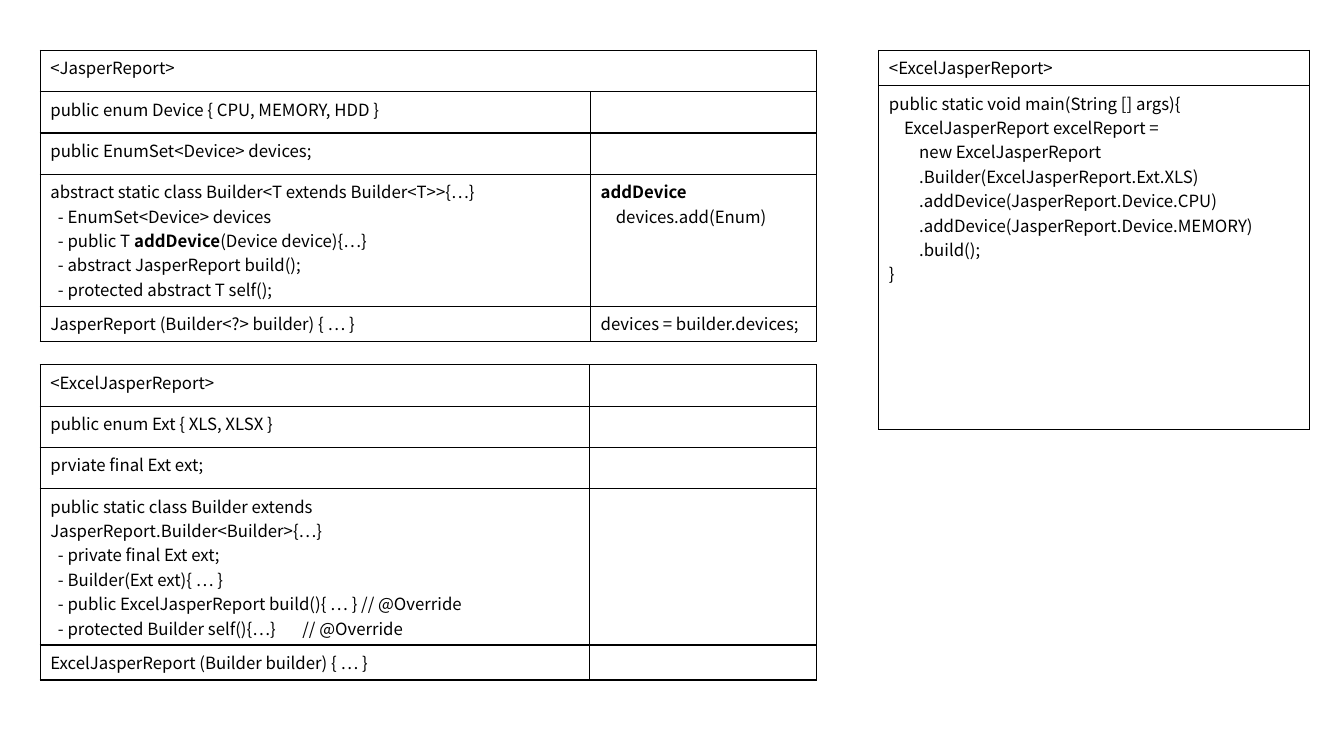
from dataclasses import dataclass

from lxml import etree
from pptx import Presentation
from pptx import util as u
from pptx.dml.color import RGBColor
from pptx.oxml import ns

BLACK = RGBColor(0x00, 0x00, 0x00)
FONT = "Noto Sans CJK KR"
TEXT_SIZE = u.Pt(12)
BORDER_WIDTH = u.Pt(1)
INDENT_STEP = u.Pt(2.7)
COMMENT_TAB = u.Pt(201)
LEFT_EDGE = u.Pt(28.8)
TOP_EDGE = u.Pt(36)
HEADER = u.Pt(29.5)
COMPACT = u.Pt(25)


@dataclass(frozen=True)
class Fragment:
    text: str
    bold: bool = False


@dataclass(frozen=True)
class Line:
    fragments: tuple[Fragment, ...]
    indent: int = 0


@dataclass(frozen=True)
class ClassTable:
    left: int
    top: int
    columns: tuple[int, ...]
    row_heights: tuple[int, ...]
    rows: tuple[tuple[list[Line], ...], ...]
    merge_title: bool = False


def line(text: str, indent: int = 0) -> Line:
    return Line((Fragment(text),), indent)


def members(*texts: str) -> list[Line]:
    return [line(f"- {text}", 2) for text in texts]


JASPER_REPORT = ClassTable(
    LEFT_EDGE, TOP_EDGE, (u.Pt(393.1), u.Pt(161.3)),
    (HEADER, HEADER, HEADER, u.Pt(94), COMPACT),
    (
        ([line("<JasperReport>")], []),
        ([line("public enum Device { CPU, MEMORY, HDD }")], []),
        ([line("public EnumSet<Device> devices;")], []),
        (
            [
                line("abstract static class Builder<T extends Builder<T>>{…}"),
                *members("EnumSet<Device> devices"),
                Line((Fragment("- public T "), Fragment("addDevice", True),
                      Fragment("(Device device){…}")), 2),
                *members("abstract JasperReport build();",
                         "protected abstract T self();"),
            ],
            [Line((Fragment("addDevice", True),)), line("devices.add(Enum)", 4)],
        ),
        ([line("JasperReport (Builder<?> builder) { … }")],
         [line("devices = builder.devices;")]),
    ),
    merge_title=True,
)

EXCEL_REPORT = ClassTable(
    LEFT_EDGE, u.Pt(260.6), (u.Pt(392.4), u.Pt(162)),
    (HEADER, HEADER, HEADER, u.Pt(111.6), COMPACT),
    (
        ([line("<ExcelJasperReport>")], []),
        ([line("public enum Ext { XLS, XLSX }")], []),
        ([line("prviate final Ext ext;")], []),
        (
            [
                line("public static class Builder extends JasperReport.Builder<Builder>{…}"),
                *members("private final Ext ext;",
                         "Builder(Ext ext){ … }",
                         "public ExcelJasperReport build(){ … } // @Override",
                         "protected Builder self(){…}\t// @Override"),
            ],
            [],
        ),
        ([line("ExcelJasperReport (Builder builder) { … }")], []),
    ),
)

MAIN_METHOD = ClassTable(
    u.Pt(627.8), TOP_EDGE, (u.Pt(307.4),), (u.Pt(25.2), u.Pt(245.5)),
    (
        ([line("<ExcelJasperReport>")],),
        (
            [
                line("public static void main(String [] args){"),
                line("ExcelJasperReport excelReport =", 4),
                line("new ExcelJasperReport", 8),
                line(".Builder(ExcelJasperReport.Ext.XLS)", 8),
                line(".addDevice(JasperReport.Device.CPU)", 8),
                line(".addDevice(JasperReport.Device.MEMORY)", 8),
                line(".build();", 8),
                line("}"),
            ],
        ),
    ),
)


def add_child(parent, tag: str, **attributes):
    values = {name: str(value) for name, value in attributes.items()}
    return etree.SubElement(parent, ns.qn(tag), values)


def style_cell(cell) -> None:
    properties = cell._tc.get_or_add_tcPr()
    for side in ("a:lnL", "a:lnR", "a:lnT", "a:lnB"):
        border = add_child(properties, side, w=int(BORDER_WIDTH))
        add_child(add_child(border, "a:solidFill"), "a:srgbClr", val=BLACK)
    cell.fill.background()


def write_line(paragraph, content: Line) -> None:
    properties = paragraph._p.get_or_add_pPr()
    properties.set("marL", "0")
    properties.set("indent", str(int(INDENT_STEP * content.indent)))
    if any("\t" in fragment.text for fragment in content.fragments):
        tabs = add_child(properties, "a:tabLst")
        add_child(tabs, "a:tab", pos=int(COMMENT_TAB), algn="l")
    for fragment in content.fragments:
        run = paragraph.add_run()
        run.text = fragment.text
        run.font.name = FONT
        run.font.size = TEXT_SIZE
        run.font.bold = fragment.bold
        run.font.color.rgb = BLACK
        add_child(run.font._element, "a:ea", typeface=FONT)


def fill_cell(cell, lines: list[Line]) -> None:
    style_cell(cell)
    frame = cell.text_frame
    if not lines:
        add_child(frame.paragraphs[0]._p, "a:endParaRPr", sz=int(TEXT_SIZE.pt * 100))
    for index, content in enumerate(lines):
        paragraph = frame.add_paragraph() if index else frame.paragraphs[0]
        write_line(paragraph, content)


def draw_table(slide, content: ClassTable) -> None:
    shape = slide.shapes.add_table(
        len(content.rows), len(content.columns), content.left, content.top,
        sum(content.columns), sum(content.row_heights))
    table = shape.table
    table.first_row = False
    table.horz_banding = False
    for column, width in zip(table.columns, content.columns):
        column.width = width
    for row, height in zip(table.rows, content.row_heights):
        row.height = height
    for row, cells in zip(table.rows, content.rows):
        for cell, lines in zip(row.cells, cells):
            fill_cell(cell, lines)
    if content.merge_title:
        table.cell(0, 0).merge(table.cell(0, len(content.columns) - 1))


def main() -> None:
    presentation = Presentation()
    presentation.slide_width = u.Pt(960)
    presentation.slide_height = u.Pt(540)
    slide = presentation.slides.add_slide(presentation.slide_layouts[6])
    for content in (JASPER_REPORT, EXCEL_REPORT, MAIN_METHOD):
        draw_table(slide, content)
    presentation.save("out.pptx")


if __name__ == "__main__":
    main()
